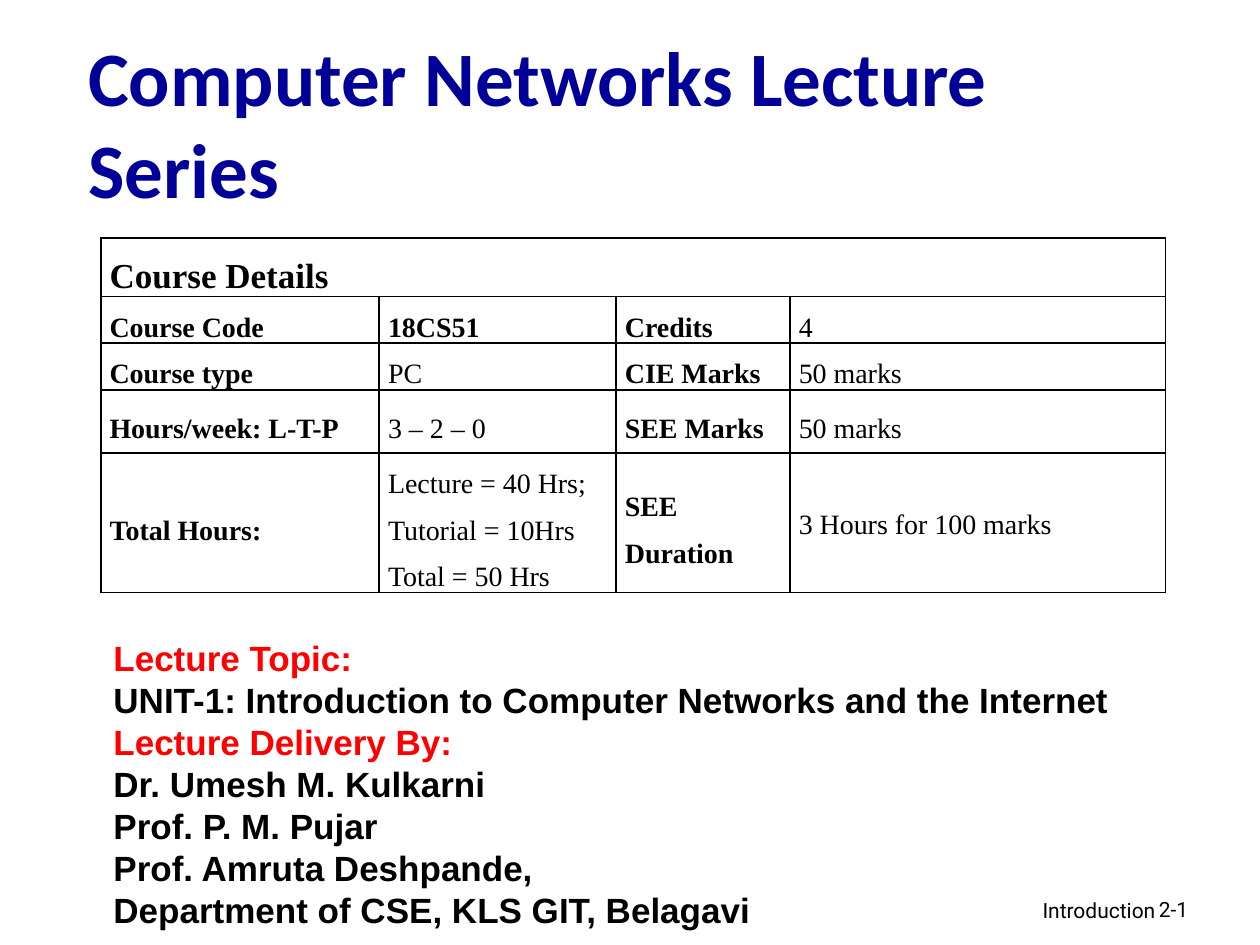
"""Build the opening slide of a computer networks lecture series."""
from dataclasses import dataclass

from lxml.etree import SubElement
from pptx import Presentation
from pptx.dml.color import RGBColor as Rgb
from pptx.enum.text import MSO_ANCHOR as Anchor, MSO_AUTO_SIZE as AutoSize, PP_ALIGN as Align
from pptx.oxml.ns import qn
from pptx.util import Inches, Pt


@dataclass(frozen=True)
class Theme:
    """Colours, fonts and type sizes of the slide."""
    navy: str = "000099"
    red: str = "FF0000"
    black: str = "000000"
    title_font: str = "Calibri"
    table_font: str = "Times New Roman"
    lecture_font: str = "Arial"
    footer_font: str = "Roboto"
    title: int = 44
    heading: int = 20
    cell: int = 16
    footer: int = 12


class LectureSlide:
    """A slide laid out on a grid of 100 columns by 75 rows."""
    WIDTH, HEIGHT = Inches(10), Inches(7.5)

    def __init__(self, deck, theme):
        deck.slide_width, deck.slide_height = self.WIDTH, self.HEIGHT
        self.theme = theme
        self.slide = deck.slides.add_slide(deck.slide_layouts[0])

    def columns(self, count):
        return round(self.WIDTH * count / 100)

    def rows(self, count):
        return round(self.HEIGHT * count / 75)

    def box(self, left, top, width, height):
        return self.columns(left), self.rows(top), self.columns(width), self.rows(height)

    def set_text(self, paragraph, text, font, size, color, bold=False, align=Align.LEFT):
        paragraph.text = text
        paragraph.alignment = align
        style = paragraph.font
        style.name, style.size, style.bold = font, Pt(size), bold
        style.color.rgb = Rgb.from_string(color)

    def place(self, holder, area, anchor):
        holder.left, holder.top, holder.width, holder.height = self.box(*area)
        frame = holder.text_frame
        frame.word_wrap, frame.auto_size = True, AutoSize.NONE
        frame.vertical_anchor = anchor
        return frame

    def title(self, text, area):
        frame = self.place(self.slide.shapes.title, area, Anchor.MIDDLE)
        theme = self.theme
        self.set_text(frame.paragraphs[0], text, theme.title_font, theme.title, theme.navy, True)

    def lecture(self, lines, area):
        frame = self.place(self.slide.placeholders[1], area, Anchor.TOP)
        theme = self.theme
        for index, line in enumerate(lines):
            paragraph = frame.add_paragraph() if index else frame.paragraphs[0]
            color = theme.red if line.endswith(":") else theme.black
            self.set_text(paragraph, line, theme.lecture_font, theme.heading, color, True)
            paragraph.space_before = Pt(0)

    def footer(self, text, area, align):
        frame = self.place(self.slide.shapes.add_textbox(*self.box(*area)), area, Anchor.TOP)
        theme = self.theme
        self.set_text(frame.paragraphs[0], text, theme.footer_font, theme.footer, theme.black, align=align)

    def border(self, cell):
        properties = cell._tc.get_or_add_tcPr()
        for index, side in enumerate(("lnL", "lnR", "lnT", "lnB")):
            line = SubElement(properties, qn(f"a:{side}"), w=str(Pt(1)))
            fill = SubElement(line, qn("a:solidFill"))
            SubElement(fill, qn("a:srgbClr"), val=self.theme.black)
            properties.insert(index, line)

    def cell(self, cell, text, size, bold, spacing=1.5):
        cell.fill.background()
        cell.vertical_anchor = Anchor.MIDDLE
        cell.margin_left = cell.margin_right = Inches(0.07)
        cell.margin_top = cell.margin_bottom = 0
        self.border(cell)
        cell.text = text
        for paragraph in cell.text_frame.paragraphs:
            self.set_text(paragraph, paragraph.text, self.theme.table_font, size, self.theme.black, bold)
            paragraph.line_spacing = spacing

    def course_table(self, heading, details, corner, widths, heights):
        area = self.box(*corner, sum(widths), sum(heights))
        table = self.slide.shapes.add_table(len(heights), len(widths), *area).table
        table.first_row = table.horz_banding = False
        for column, width in zip(table.columns, widths):
            column.width = self.columns(width)
        for row, height in zip(table.rows, heights):
            row.height = self.rows(height)
        table.cell(0, 0).merge(table.cell(0, len(widths) - 1))
        for index in range(len(widths)):
            self.cell(table.cell(0, index), "" if index else heading, self.theme.heading, True)
        for row, entries in enumerate(details, 1):
            for column, entry in enumerate(entries):
                bold = column % 2 == 0 or (row, column) == (1, 1)
                last = (row, column) == (len(details), len(widths) - 1)
                self.cell(table.cell(row, column), entry, self.theme.cell, bold, 1.15 if last else 1.5)


COURSE = [
    ("Course Code", "18CS51", "Credits", "4"),
    ("Course type", "PC", "CIE Marks", "50 marks"),
    ("Hours/week: L-T-P", "3 – 2 – 0", "SEE Marks", "50 marks"),
    ("Total Hours:", "Lecture = 40 Hrs;\nTutorial = 10Hrs\nTotal = 50 Hrs",
     "SEE Duration", "3 Hours for 100 marks"),
]
LECTURE = [
    "Lecture Topic:",
    "UNIT-1: Introduction to Computer Networks and the Internet",
    "Lecture Delivery By:",
    "Dr. Umesh M. Kulkarni",
    "Prof. P. M. Pujar",
    "Prof. Amruta Deshpande,",
    "Department of CSE, KLS GIT, Belagavi",
]


def main():
    deck = Presentation()
    opening = LectureSlide(deck, Theme())
    opening.title("Computer Networks Lecture Series", (6, 1.6, 85, 16.1))
    opening.footer("Introduction", (61, 70.7, 31.7, 3.1), Align.RIGHT)
    opening.footer("2-1", (91, 70.7, 7.4, 3), Align.LEFT)
    opening.course_table("Course Details", COURSE, (8, 18.9),
                         (22.1, 18.8, 13.8, 29.8), (2.5, 2.5, 3.5, 5, 7.5))
    opening.lecture(LECTURE, (8, 50, 90.3, 24.6))
    deck.save("out.pptx")


if __name__ == "__main__":
    main()
